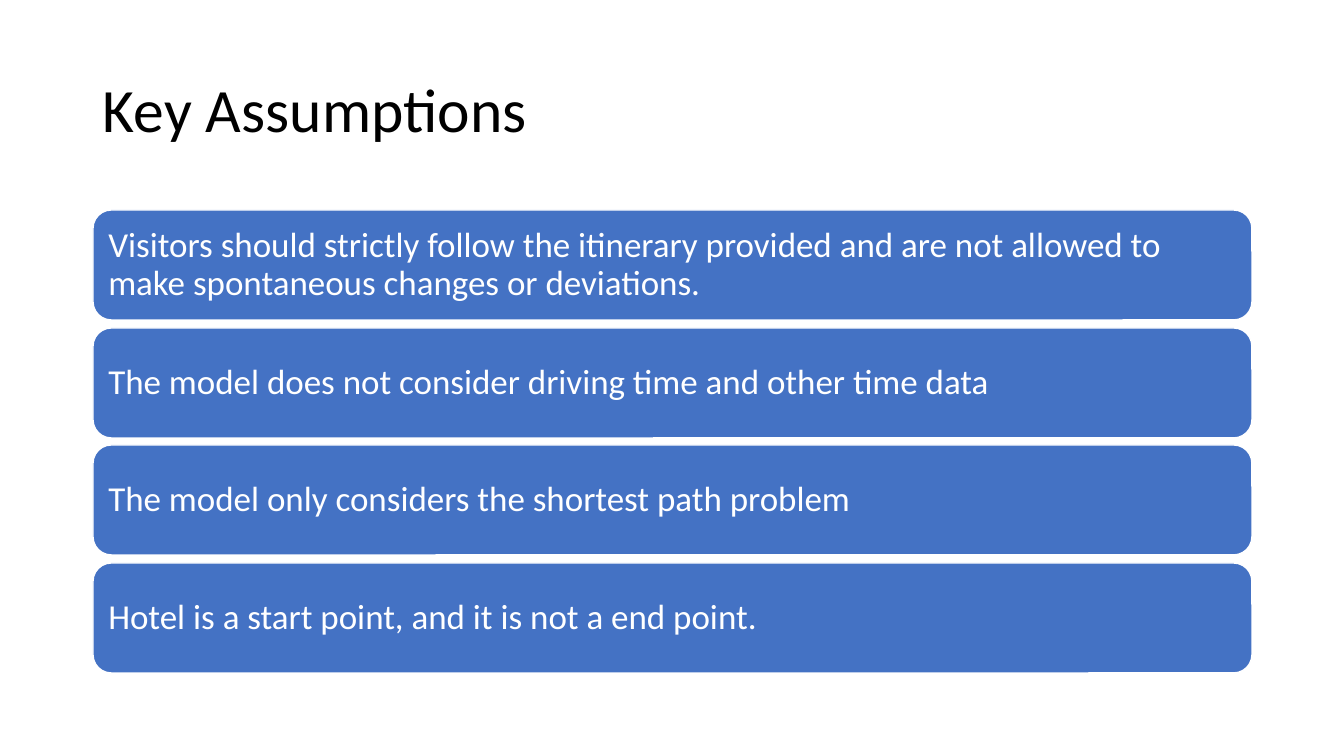
import pptx
import pptx.dml.color
import pptx.enum.shapes
import pptx.enum.text
import pptx.util

PX = 914400 / 100.8
COLORS = {"title": "000000", "bar": "4472C4", "bar_text": "FFFFFF", "outline": "FFFFFF"}


def px(length):
    return pptx.util.Emu(round(length * PX))


def write(shape, text, size, color, inset_x, inset_y):
    frame = shape.text_frame
    frame.word_wrap = True
    frame.vertical_anchor = pptx.enum.text.MSO_ANCHOR.MIDDLE
    frame.margin_left = frame.margin_right = px(inset_x)
    frame.margin_top = frame.margin_bottom = px(inset_y)
    paragraph = frame.paragraphs[0]
    paragraph.text = text
    paragraph.alignment = pptx.enum.text.PP_ALIGN.LEFT
    paragraph.line_spacing = 0.9
    paragraph.font.name = "Calibri"
    paragraph.font.size = pptx.util.Pt(size)
    paragraph.font.color.rgb = pptx.dml.color.RGBColor.from_string(COLORS[color])


presentation = pptx.Presentation()
presentation.slide_width = px(1344)
presentation.slide_height = px(756)
slide = presentation.slides.add_slide(presentation.slide_layouts[6])

# Title
title = slide.shapes.add_textbox(px(93), px(40), px(1159), px(146))
write(title, "Key Assumptions", 44, "title", 10, 5)

# Assumption bars, evenly spread from first to last top edge
assumptions = [
    "Visitors should strictly follow the itinerary provided and are not allowed to make spontaneous changes or deviations.",
    "The model does not consider driving time and other time data",
    "The model only considers the shortest path problem",
    "Hotel is a start point, and it is not a end point.",
]
first_top, last_top = 210, 563
for i, assumption in enumerate(assumptions):
    top = round(first_top + (last_top - first_top) * i / (len(assumptions) - 1))
    bar = slide.shapes.add_shape(
        pptx.enum.shapes.MSO_SHAPE.ROUNDED_RECTANGLE, px(93), px(top), px(1159), px(110))
    bar.shadow.inherit = False
    bar.fill.solid()
    bar.fill.fore_color.rgb = pptx.dml.color.RGBColor.from_string(COLORS["bar"])
    bar.line.color.rgb = pptx.dml.color.RGBColor.from_string(COLORS["outline"])
    bar.line.width = pptx.util.Pt(1)
    write(bar, assumption, 25, "bar_text", 10, 10)

presentation.save("out.pptx")
